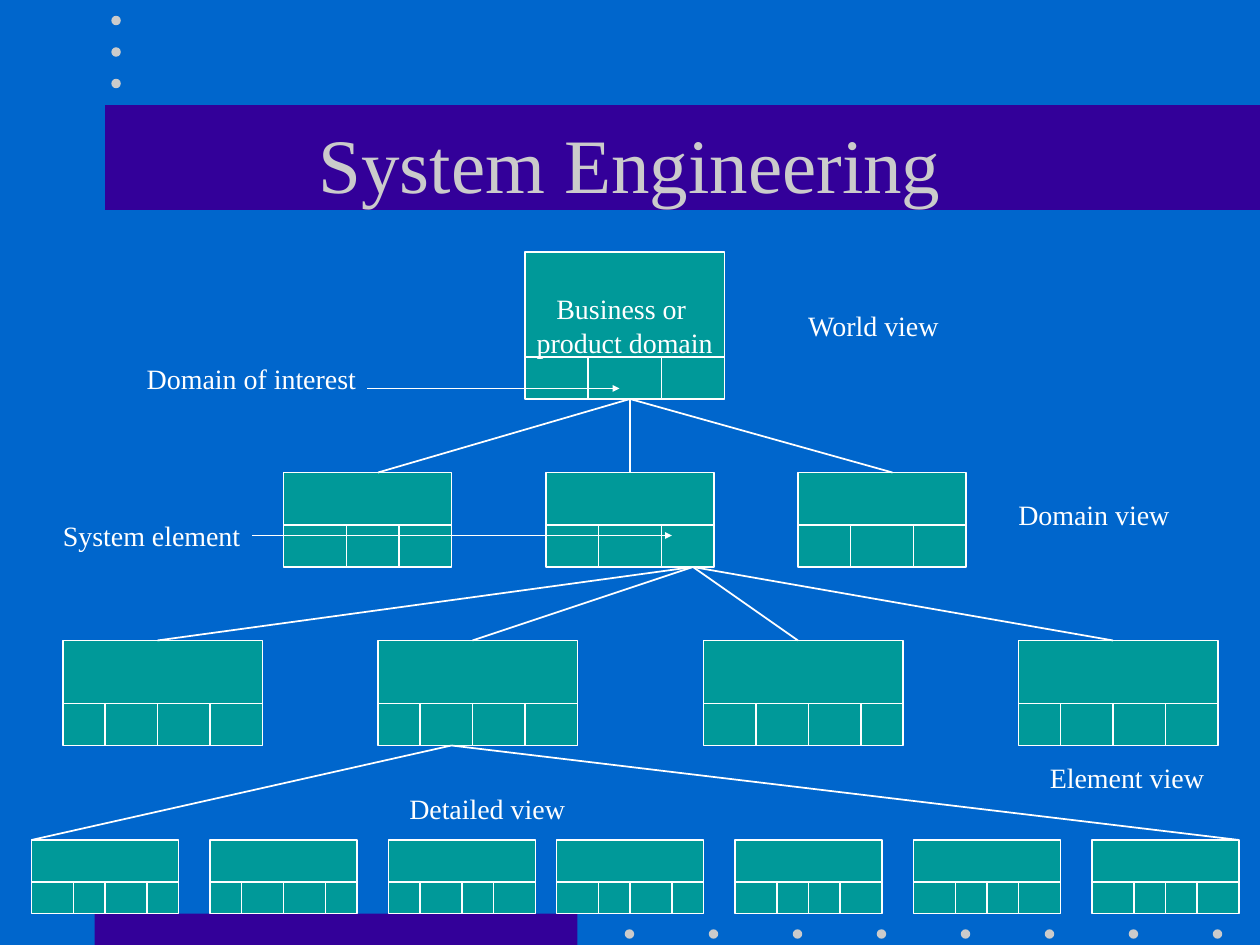
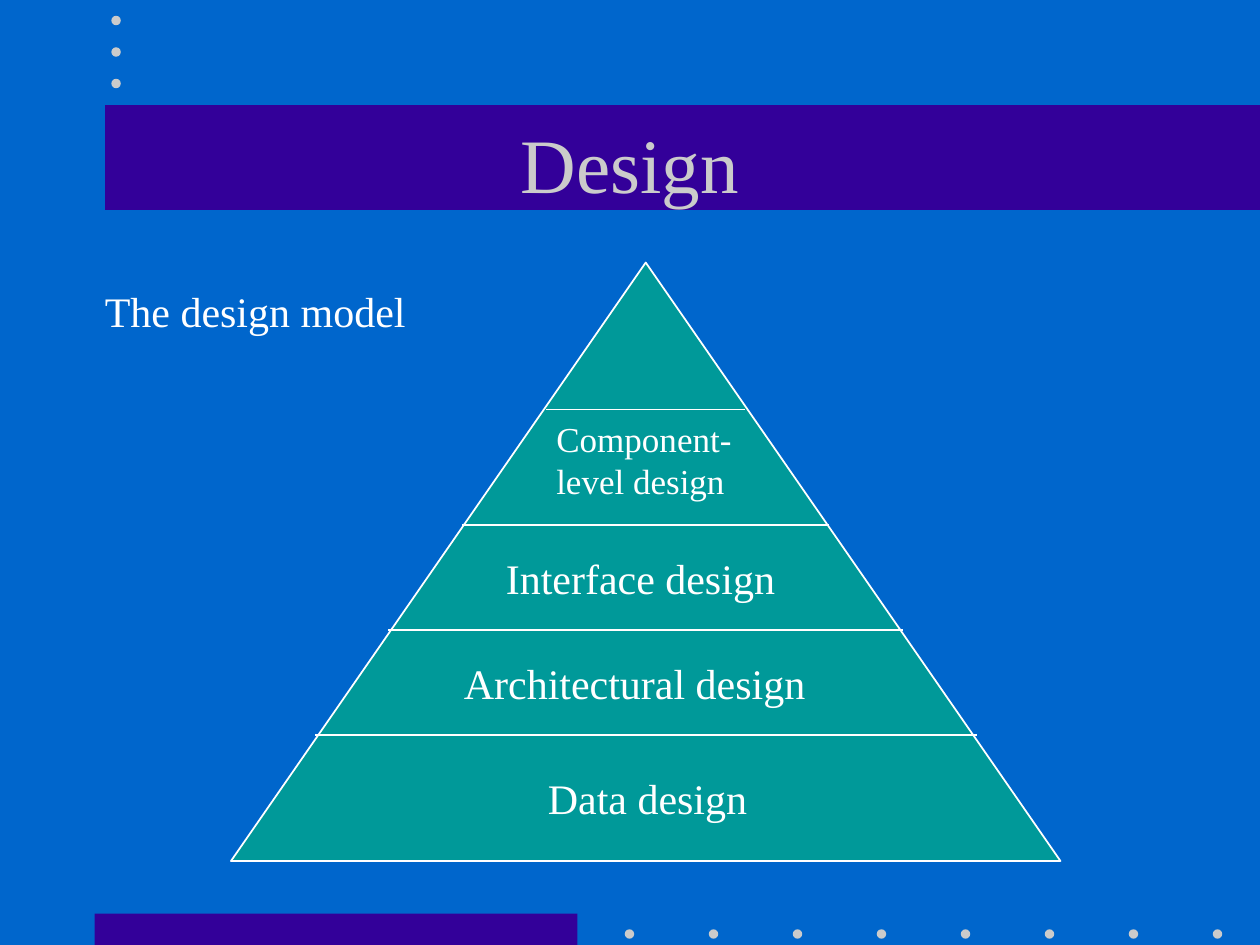
from lxml.etree import SubElement
from pptx import Presentation
from pptx.dml.color import RGBColor
from pptx.enum.shapes import MSO_CONNECTOR, MSO_SHAPE
from pptx.enum.text import MSO_ANCHOR, PP_ALIGN
from pptx.oxml.ns import qn
from pptx.util import Pt

PX = 7620
BLUE, INDIGO, TEAL = "0066CC", "330099", "009999"
WHITE, SILVER = "FFFFFF", "CBCBCB"
FONT = "Times New Roman"


def emu(*sizes):
    """Turn px lengths into EMU."""
    return [size * PX for size in sizes]


def paint(target, color):
    """Give a fill a solid colour."""
    target.solid()
    target.fore_color.rgb = RGBColor.from_string(color)


def write(shape, text, size, color=WHITE, align=PP_ALIGN.LEFT):
    """Set the text of a shape, one paragraph a line."""
    frame = shape.text_frame
    frame.text = text
    for para in frame.paragraphs:
        para.alignment = align
        para.font.name = FONT
        para.font.size = Pt(size)
        para.font.color.rgb = RGBColor.from_string(color)
    return frame


def draw(slide, kind, box, fill, edge=None):
    """Add a flat preset shape."""
    shape = slide.shapes.add_shape(kind, *emu(*box))
    shape.shadow.inherit = False
    paint(shape.fill, fill)
    if edge:
        paint(shape.line.fill, edge)
        shape.line.width = Pt(1)
    else:
        shape.line.fill.background()
    return shape


def rule(slide, start, end, arrow=False):
    """Add a thin white line, with an arrowhead if asked."""
    line = slide.shapes.add_connector(MSO_CONNECTOR.STRAIGHT, *emu(*start, *end))
    paint(line.line.fill, WHITE)
    line.line.width = Pt(1)
    props = line.element.spPr
    if arrow:
        SubElement(props.find(qn("a:ln")), qn("a:tailEnd"),
                   type="triangle", w="sm", len="sm")
    SubElement(props, qn("a:effectLst"))


def label(slide, text, box, size):
    """Add a free label in a box with room to spare."""
    frame = write(slide.shapes.add_textbox(*emu(*box)), text, size)
    frame.word_wrap = True


def start(deck, title):
    """Add a slide with the shared bands, dots and title."""
    slide = deck.slides.add_slide(deck.slide_layouts[6])
    paint(slide.background.fill, BLUE)
    for band in ((90, 870, 460, 30), (100, 100, 1100, 100)):
        draw(slide, MSO_SHAPE.RECTANGLE, band, INDIGO)
    foot = [(595 + 80 * i, 885) for i in range(8)]
    head = [(106, 15 + 30 * i) for i in range(3)]
    for spot in foot + head:
        draw(slide, MSO_SHAPE.OVAL, (*spot, 9, 9), SILVER)
    box = slide.shapes.add_textbox(*emu(90, 80, 1020, 150))
    frame = write(box, title, 44, SILVER, PP_ALIGN.CENTER)
    frame.word_wrap = True
    frame.vertical_anchor = MSO_ANCHOR.MIDDLE
    return slide


def block(slide, box, foot, cuts, text=None):
    """Draw a box whose foot is split into cells at the given offsets."""
    left, top, width, height = box
    shape = draw(slide, MSO_SHAPE.RECTANGLE, box, TEAL, WHITE)
    if text:
        frame = write(shape, text, 16, align=PP_ALIGN.CENTER)
        frame.word_wrap = False
        frame.vertical_anchor = MSO_ANCHOR.MIDDLE
    base = top + height
    rule(slide, (left, base - foot), (left + width, base - foot))
    for cut in cuts:
        rule(slide, (left + cut, base - foot), (left + cut, base))


def level(slide, top, size, foot, cells):
    """Draw a row of blocks from their left edges and cuts."""
    for left, cuts in cells:
        block(slide, (left, top, *size), foot, cuts)


def fan(slide, root, ends, top):
    """Join a root point to several points on the row below."""
    for end in ends:
        rule(slide, root, (end, top))


def system(deck):
    """Build the hierarchy slide."""
    slide = start(deck, "System Engineering")
    block(slide, (500, 240, 190, 140), 40, (60, 130),
          "Business or \nproduct domain")
    level(slide, 450, (160, 90), 40,
          [(270, (60, 110)), (520, (50, 110)), (760, (50, 110))])
    even = (40, 90, 140)
    level(slide, 610, (190, 100), 40,
          [(60, even), (360, even), (670, (50, 100, 150)), (970, even)])
    near = (40, 70, 100)
    wide = (40, 70, 110)
    level(slide, 800, (140, 70), 30,
          [(30, wide), (200, (30, 70, 110)), (370, (30, 70, 100)),
           (530, wide), (700, near), (870, near), (1040, near)])
    fan(slide, (600, 380), (360, 600, 850), 450)
    fan(slide, (660, 540), (150, 450, 760, 1060), 610)
    fan(slide, (430, 710), (30, 1180), 800)
    for text, left, top, width in (
        ("World view", 758, 288, 170),
        ("Domain view", 958, 468, 190),
        ("Element view", 988, 718, 190),
        ("Detailed view", 378, 748, 190),
        ("Domain of interest", 128, 338, 240),
        ("System element", 48, 488, 210),
    ):
        label(slide, text, (left, top, width, 44), 16)
    rule(slide, (350, 370), (590, 370), arrow=True)
    rule(slide, (240, 510), (640, 510), arrow=True)


def design(deck):
    """Build the pyramid slide."""
    slide = start(deck, "Design")
    draw(slide, MSO_SHAPE.ISOSCELES_TRIANGLE, (220, 250, 790, 570), TEAL, WHITE)
    for left, right, top in ((300, 930, 700), (370, 860, 600),
                             (440, 790, 500), (520, 710, 390)):
        rule(slide, (left, top), (right, top))
    for text, box, size in (
        ("Data design", (510, 730, 230, 60), 24),
        ("Architectural design", (430, 620, 370, 60), 24),
        ("Interface design", (470, 520, 300, 60), 24),
        ("Component-\nlevel design", (518, 392, 210, 92), 20),
        ("The design model", (88, 266, 330, 60), 24),
    ):
        label(slide, text, box, size)


def main():
    """Build and save the deck."""
    deck = Presentation()
    deck.slide_width, deck.slide_height = emu(1200, 900)
    system(deck)
    design(deck)
    deck.save("out.pptx")


if __name__ == "__main__":
    main()
